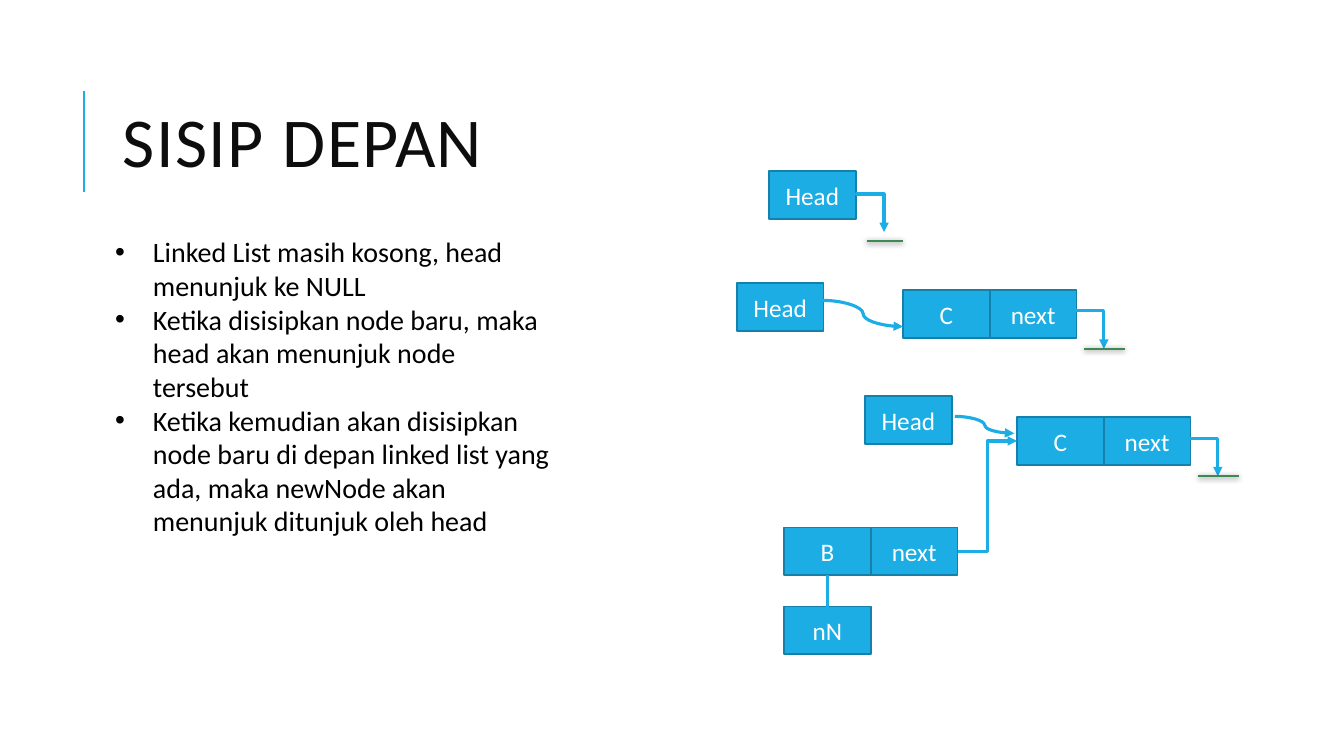
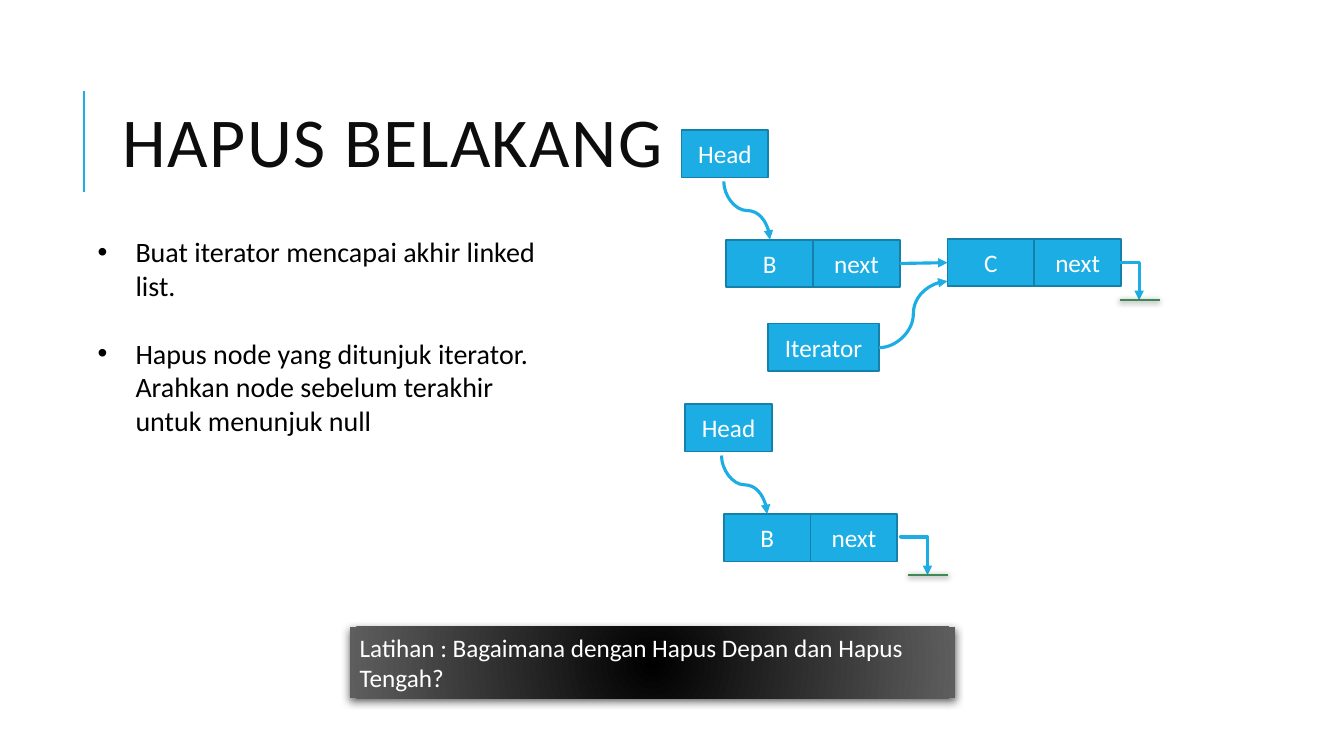
from dataclasses import dataclass, field

from lxml import etree
from pptx import Presentation
from pptx.dml.color import RGBColor
from pptx.enum.shapes import MSO_CONNECTOR, MSO_SHAPE
from pptx.enum.text import MSO_ANCHOR, MSO_AUTO_SIZE, PP_ALIGN
from pptx.oxml import parse_xml
from pptx.oxml.ns import nsdecls, qn
from pptx.util import Pt

COLORS = {
    "blue": "1CADE4",
    "edge": "1580A9",
    "green": "3E8853",
    "title": "0D0D0D",
    "black": "000000",
    "gray": "5E5E5E",
    "white": "FFFFFF",
}
FONT = "Calibri"
CELL_W, CELL_H = 62, 34
STRAIGHT, ELBOW, CURVE = MSO_CONNECTOR.STRAIGHT, MSO_CONNECTOR.ELBOW, MSO_CONNECTOR.CURVE
TOP, LEFT, BOTTOM, RIGHT = range(4)


@dataclass
class Node:
    x: float
    y: float
    cells: tuple[str, ...] = ("Head",)
    wide: float = CELL_W


@dataclass
class Join:
    """A line between the sides of two cells, each given as (node, cell, side)."""
    start: tuple[str, int, int]
    end: tuple[str, int, int]
    kind: int = STRAIGHT
    arrow: bool = True


@dataclass
class Curve:
    x1: float
    y1: float
    x2: float
    y2: float
    down: bool = False


@dataclass
class Null:
    """An arrow that bends down to a short ground line."""
    x: float
    y: float
    wide: float = 29
    gap: float = 0


@dataclass
class Page:
    title: str
    items: list[str]
    left: float
    high: float
    nodes: dict[str, Node]
    curves: list[Curve]
    nulls: list[Null]
    joins: list[Join]
    gap: float = 0
    task: str = field(default="")


PAGES = [
    Page(
        "SISIP DEPAN",
        [
            "Linked List masih kosong, head menunjuk ke NULL",
            "Ketika disisipkan node baru, maka head akan menunjuk node tersebut",
            "Ketika kemudian akan disisipkan node baru di depan linked list yang ada, "
            "maka newNode akan menunjuk ditunjuk oleh head",
        ],
        75, 225,
        {
            "empty": Node(549.2, 122.4),
            "head": Node(526.3, 202.3),
            "only": Node(645, 207.3, ("C", "next")),
            "front": Node(617.8, 283),
            "last": Node(726.4, 298, ("C", "next")),
            "new": Node(560, 376.8, ("B", "next")),
            "name": Node(560, 433.3, ("nN",)),
        },
        [Curve(588, 214.6, 645, 233.3), Curve(682, 297.4, 724.5, 309.6)],
        [Null(612, 139.6, 26, 6.5), Null(769, 223), Null(850.4, 314)],
        [
            Join(("name", 0, TOP), ("new", 0, BOTTOM), arrow=False),
            Join(("new", 1, RIGHT), ("last", 0, LEFT), ELBOW),
        ],
    ),
    Page(
        "HAPUS BELAKANG",
        [
            "Buat iterator mencapai akhir linked list.",
            "Hapus node yang ditunjuk iterator. Arahkan node sebelum terakhir "
            "untuk menunjuk null",
        ],
        62.6, 152.6,
        {
            "step": Node(548.6, 231.1, ("Iterator",), 79.4),
            "first": Node(518.8, 171.2, ("B", "next")),
            "last": Node(676.8, 170.6, ("C", "next")),
            "head": Node(486.8, 92.8),
            "rest": Node(517, 367.2, ("B", "next")),
            "front": Node(489.4, 288.6),
        },
        [
            Curve(628, 248.4, 676.8, 200.9),
            Curve(517, 129.6, 550, 171.2, True),
            Curve(515.4, 325.4, 548, 367.2, True),
        ],
        [Null(794.2, 188.2), Null(643, 384.6)],
        [Join(("first", 1, RIGHT), ("last", 0, LEFT))],
        24.4,
        "Latihan : Bagaimana dengan Hapus Depan dan Hapus Tengah?",
    ),
]


def rgb(name: str) -> RGBColor:
    return RGBColor.from_string(COLORS[name])


def place(shape, x: float, y: float, wide: float, high: float) -> None:
    shape.left, shape.top, shape.width, shape.height = map(Pt, (x, y, wide, high))


def write(frame, *lines: str, size: float = 18, color: str = "white",
          align=PP_ALIGN.LEFT, anchor=MSO_ANCHOR.MIDDLE, after: float = 0,
          lead: float = 1, track: float = 0) -> None:
    frame.word_wrap = True
    frame.auto_size = MSO_AUTO_SIZE.NONE
    frame.vertical_anchor = anchor
    for i, line in enumerate(lines):
        para = frame.add_paragraph() if i else frame.paragraphs[0]
        para.alignment = align
        para.space_before, para.space_after = Pt(0), Pt(after)
        para.line_spacing = lead
        run = para.add_run()
        run.text = line
        run.font.name, run.font.size = FONT, Pt(size)
        run.font.color.rgb = rgb(color)
        if track:
            run.font._element.set("spc", str(round(track * 100)))


def shade(shape, blur: float = 0, dist: float = 0, alpha: int = 0) -> None:
    """Give a shape a black shadow below it, or none when alpha is 0."""
    props = shape.element.spPr
    for old in props.findall(qn("a:effectLst")):
        props.remove(old)
    effect = etree.SubElement(props, qn("a:effectLst"))
    if alpha:
        drop = etree.SubElement(effect, qn("a:outerShdw"), blurRad=str(Pt(blur)),
                                dist=str(Pt(dist)), dir="5400000", rotWithShape="0")
        tint = etree.SubElement(drop, qn("a:srgbClr"), val=COLORS["black"])
        etree.SubElement(tint, qn("a:alpha"), val=str(alpha * 1000))


def link(slide, kind: int, x1: float, y1: float, x2: float, y2: float,
         color: str = "blue", weight: float = 2.25, arrow: bool = True):
    line = slide.shapes.add_connector(kind, Pt(x1), Pt(y1), Pt(x2), Pt(y2))
    line.line.color.rgb = rgb(color)
    line.line.width = Pt(weight)
    if arrow:
        etree.SubElement(line.line._get_or_add_ln(), qn("a:tailEnd"), type="triangle")
    shade(line)
    return line


def sink(slide, kind: int, x1: float, y1: float, x2: float, y2: float,
         bend: int = 50000) -> None:
    """Draw a link that leaves and arrives vertically, down to the right."""
    wide, high = y2 - y1, x2 - x1
    left, top = (x1 + x2 - wide) / 2, (y1 + y2 - high) / 2
    props = link(slide, kind, left + wide, top, left, top + high).element.spPr
    props.find(qn("a:xfrm")).set("rot", "16200000")
    geom = props.find(qn("a:prstGeom"))
    for old in list(geom):
        geom.remove(old)
    guides = etree.SubElement(geom, qn("a:avLst"))
    etree.SubElement(guides, qn("a:gd"), name="adj1", fmla=f"val {bend}")


def chain(slide, node: Node) -> list:
    cells = []
    for i, label in enumerate(node.cells):
        cell = slide.shapes.add_shape(
            MSO_SHAPE.RECTANGLE, Pt(node.x + i * node.wide), Pt(node.y),
            Pt(node.wide), Pt(CELL_H))
        cell.shadow.inherit = False
        cell.fill.solid()
        cell.fill.fore_color.rgb = rgb("blue")
        cell.line.color.rgb = rgb("edge")
        cell.line.width = Pt(1.25)
        write(cell.text_frame, label, align=PP_ALIGN.CENTER)
        cells.append(cell)
    return cells


def ground(slide, null: Null) -> None:
    x, y = null.x + 19.5, null.y + 26.2
    sink(slide, ELBOW, null.x, null.y, x, y, -3700)
    left, base = x + 0.5 - null.wide / 2, y + null.gap
    bar = link(slide, STRAIGHT, left, base, left + null.wide, base, "green", 1.5, False)
    shade(bar, 4, 1, 50)


def join(slide, cells: dict[str, list], tie: Join) -> None:
    line = link(slide, tie.kind, 0, 0, 0, 0, arrow=tie.arrow)
    for attach, (name, cell, side) in ((line.begin_connect, tie.start),
                                       (line.end_connect, tie.end)):
        attach(cells[name][cell], side)


def banner(slide, text: str) -> None:
    box = slide.shapes.add_shape(MSO_SHAPE.RECTANGLE, Pt(249.8), Pt(447.8), Pt(432.7), Pt(51))
    box.line.fill.background()
    stops = "".join(
        f'<a:gs pos="{pos}"><a:srgbClr val="{COLORS[name]}"/></a:gs>'
        for pos, name in ((0, "black"), (100000, "gray")))
    box.element.spPr.find(qn("a:prstGeom")).addnext(parse_xml(
        f'<a:gradFill {nsdecls("a")} rotWithShape="1"><a:gsLst>{stops}</a:gsLst>'
        '<a:path path="circle"><a:fillToRect l="100000" t="100000" r="100000" b="100000"/>'
        '</a:path></a:gradFill>'))
    shade(box, 6, 2, 60)
    write(box.text_frame, text, anchor=MSO_ANCHOR.TOP)


def share(layout, slide) -> None:
    """Put the title place and the accent line on the layout."""
    place(layout.placeholders[0], 80.6, 46, 765.4, 118)
    rule = link(slide, STRAIGHT, 60, 136.8, 60, 64.8, weight=1.5, arrow=False)
    rule.element.nvCxnSpPr.cNvPr.set("id", "20")
    layout.shapes.element.append(rule.element)


def build(slide, page: Page) -> None:
    write(slide.shapes.title.text_frame, page.title, size=50, color="title",
          lead=0.8, track=1)
    body = slide.placeholders[1]
    place(body, page.left, 164.2, 327.6, page.high)
    write(body.text_frame, *page.items, size=20, color="black",
          anchor=MSO_ANCHOR.TOP, after=page.gap)
    cells = {name: chain(slide, node) for name, node in page.nodes.items()}
    for arc in page.curves:
        draw = sink if arc.down else link
        draw(slide, CURVE, arc.x1, arc.y1, arc.x2, arc.y2)
    for null in page.nulls:
        ground(slide, null)
    for tie in page.joins:
        join(slide, cells, tie)
    if page.task:
        banner(slide, page.task)


def main() -> None:
    deck = Presentation()
    deck.slide_width, deck.slide_height = Pt(960), Pt(540)
    layout = deck.slide_layouts[1]
    slides = [deck.slides.add_slide(layout) for _ in PAGES]
    share(layout, slides[0])
    for slide, page in zip(slides, PAGES):
        build(slide, page)
    deck.save("out.pptx")


if __name__ == "__main__":
    main()
